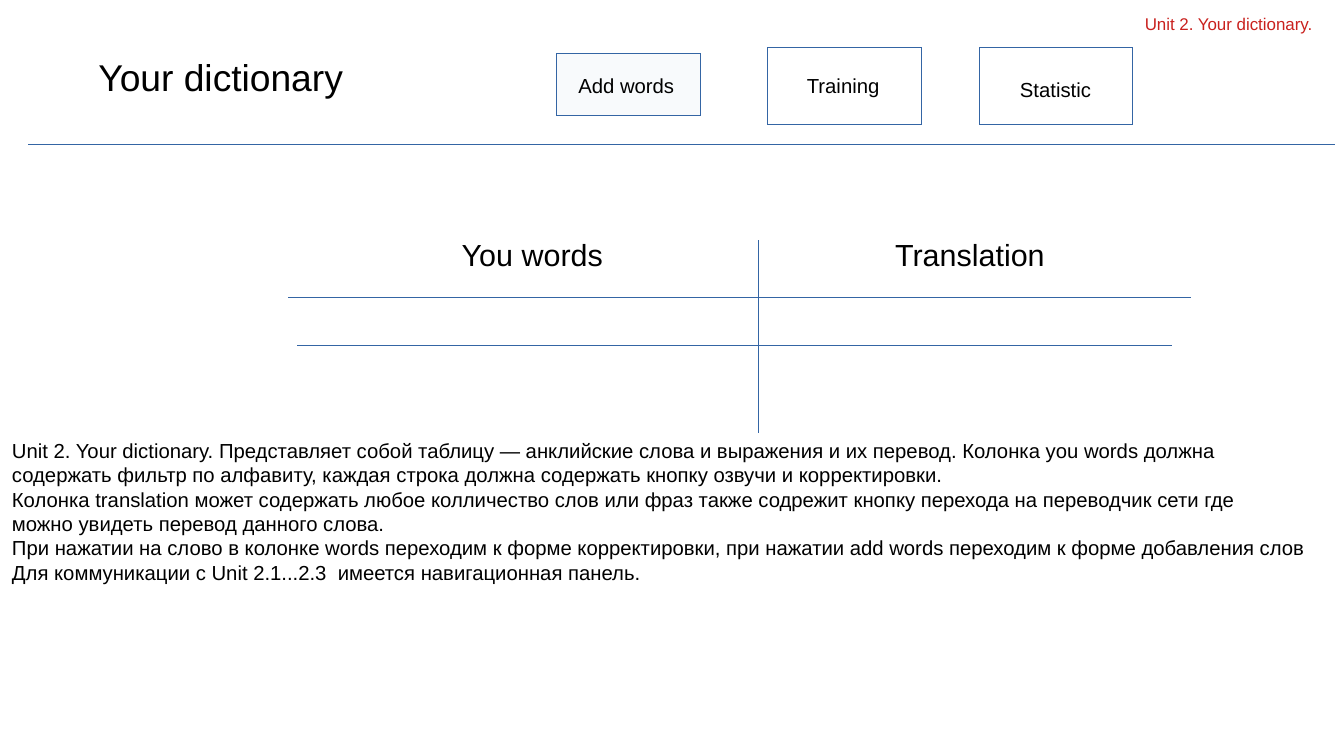
from lxml import etree
from pptx import Presentation
from pptx import util as u
from pptx.dml import color
from pptx.enum import shapes, text
from pptx.oxml import ns

COLORS = {
    "outline": "3465A4",
    "white": "FFFFFF",
    "pale": "F8FAFC",
    "black": "000000",
    "red": "C9211E",
}
FONT = "Arial"
HAIRLINE = u.Pt(0.01)  # a zero width would fall back to the theme's line

DESCRIPTION = [
    "Unit 2. Your dictionary. Представляет собой таблицу — анклийские слова и выражения и их перевод. Колонка you words должна",
    "содержать фильтр по алфавиту, каждая строка должна содержать кнопку озвучи и корректировки.",
    "Колонка translation может содержать любое колличество слов или фраз также содрежит кнопку перехода на переводчик сети где",
    "можно увидеть перевод данного слова.",
    "При нажатии на слово в колонке words переходим к форме корректировки, при нажатии add words переходим к форме добавления слов",
    "Для коммуникации с Unit 2.1...2.3  имеется навигационная панель.",
]


def rgb(name):
    return color.RGBColor.from_string(COLORS[name])


def cm(*lengths):
    return [u.Cm(length) for length in lengths]


def set_outline(shape):
    shape.line.color.rgb = rgb("outline")
    shape.line.width = HAIRLINE


def add_text(slide, box, lines, size, ink="black"):
    shape = slide.shapes.add_textbox(*cm(*box))
    frame = shape.text_frame
    frame.word_wrap = False
    frame.auto_size = text.MSO_AUTO_SIZE.SHAPE_TO_FIT_TEXT
    for index, line in enumerate(lines):
        paragraph = frame.add_paragraph() if index else frame.paragraphs[0]
        run = paragraph.add_run()
        run.text = line
        run.font.name = FONT
        run.font.size = u.Pt(size)
        run.font.color.rgb = rgb(ink)
    return frame


def add_title(slide, box, title):
    frame = add_text(slide, box, [title], 22)
    frame.word_wrap = True
    frame.auto_size = text.MSO_AUTO_SIZE.NONE
    frame.vertical_anchor = text.MSO_ANCHOR.MIDDLE
    frame.margin_left = frame.margin_right = 0
    frame.margin_top = frame.margin_bottom = 0
    frame.paragraphs[0].alignment = text.PP_ALIGN.CENTER


def add_button(slide, box, fill, label_box, label):
    shape = slide.shapes.add_shape(shapes.MSO_SHAPE.RECTANGLE, *cm(*box))
    shape.shadow.inherit = False
    shape.fill.solid()
    shape.fill.fore_color.rgb = rgb(fill)
    set_outline(shape)
    add_text(slide, label_box, [label], 12)


def add_line(slide, start, end):
    line = slide.shapes.add_connector(
        shapes.MSO_CONNECTOR.STRAIGHT, *cm(*start, *end))
    set_outline(line)
    etree.SubElement(line._element.spPr, ns.qn("a:effectLst"))


def main():
    presentation = Presentation()
    presentation.slide_width, presentation.slide_height = cm(28, 15.75)
    slide = presentation.slides.add_slide(presentation.slide_layouts[6])

    # Header: title, unit name and navigation buttons
    add_title(slide, (1.6, 0.8, 6, 1.6), "Your dictionary")
    add_text(slide, (23.6, 0.15, 4, 0.64), ["Unit 2. Your dictionary."], 10, "red")
    buttons = [
        ((11.6, 1.12, 3, 1.28), "pale", (11.8, 1.4, 2.62, 0.74), "Add words"),
        ((16, 1, 3.2, 1.6), "white", (16.56, 1.4, 2.2, 0.74), "Training"),
        ((20.4, 1, 3.2, 1.6), "white", (21, 1.48, 2, 0.74), "Statistic"),
    ]
    for button in buttons:
        add_button(slide, *button)
    add_line(slide, (0.6, 3), (27.8, 3))

    # Word list: column headings and rules
    add_text(slide, (9.37, 4.8, 3.45, 0.97), ["You words"], 18)
    add_text(slide, (18.4, 4.8, 3.63, 0.97), ["Translation"], 18)
    add_line(slide, (6, 6.2), (24.8, 6.2))
    add_line(slide, (6.2, 7.2), (24.4, 7.2))
    add_line(slide, (15.8, 5), (15.8, 9))

    # Description of the page
    add_text(slide, (0, 9, 27.53, 3.1), DESCRIPTION, 12)

    presentation.save("out.pptx")


if __name__ == "__main__":
    main()
